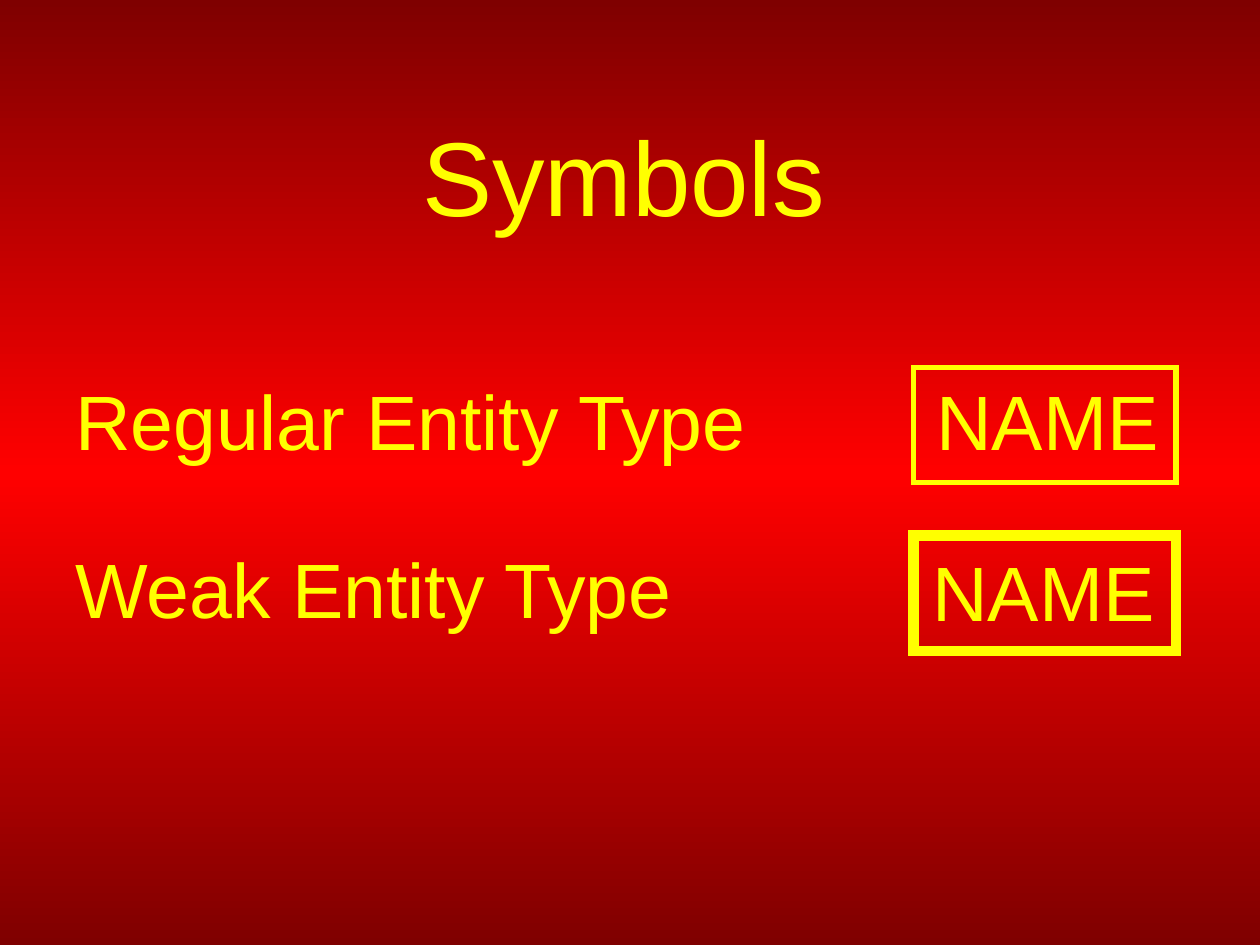
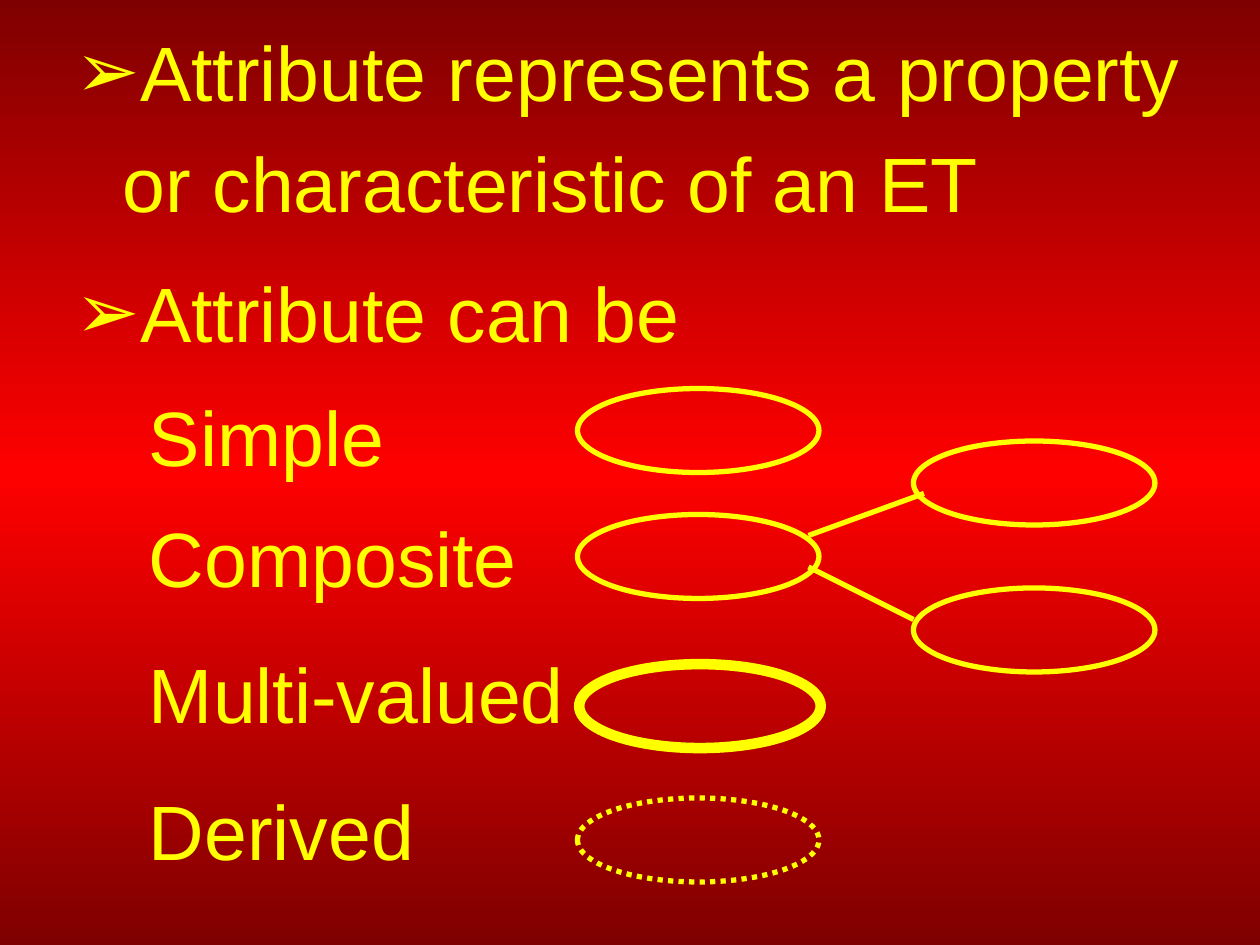
from copy import deepcopy

from lxml.etree import SubElement
from pptx import Presentation
from pptx.dml.color import RGBColor
from pptx.enum.dml import MSO_LINE
from pptx.enum.shapes import MSO_CONNECTOR, MSO_SHAPE
from pptx.enum.text import MSO_ANCHOR, MSO_AUTO_SIZE, PP_ALIGN
from pptx.oxml.ns import qn
from pptx.util import Pt

THEME = {
    "ink": RGBColor(0xFF, 0xFF, 0x00),
    "edge": RGBColor(0x7F, 0x00, 0x00),
    "middle": RGBColor(0xFF, 0x00, 0x00),
    "font": "Arial",
    "title_size": Pt(60),
    "text_size": Pt(44),
    "thin": Pt(3),
    "thick": Pt(6),
}
FRAME = {
    "auto_size": MSO_AUTO_SIZE.NONE,
    "vertical_anchor": MSO_ANCHOR.TOP,
    "margin_left": Pt(7.2),
    "margin_right": Pt(7.2),
    "margin_top": Pt(3.6),
    "margin_bottom": Pt(3.6),
}


def fill_text(box, area, lines, size=THEME["text_size"], wrap=False, spacing=1.0, bullet=None):
    """Place a text box or placeholder and write its formatted paragraphs."""
    box.left, box.top, box.width, box.height = map(Pt, area)
    frame = box.text_frame
    for name, value in {**FRAME, "word_wrap": wrap}.items():
        setattr(frame, name, value)
    for index, line in enumerate(lines):
        para = frame.add_paragraph() if index else frame.paragraphs[0]
        layout = {
            "alignment": PP_ALIGN.LEFT,
            "line_spacing": spacing,
            "space_before": Pt(11 if index else 0),
        }
        for name, value in layout.items():
            setattr(para, name, value)
        if bullet:
            properties = para._p.get_or_add_pPr()
            properties.set("marL", str(Pt(27)))
            properties.set("indent", str(-Pt(27)))
            colour = SubElement(properties, qn("a:buClr"))
            SubElement(colour, qn("a:srgbClr")).set("val", str(THEME["ink"]))
            SubElement(properties, qn("a:buChar")).set("char", bullet)
        span = para.add_run()
        span.text = line
        for name, value in {"name": THEME["font"], "size": size, "bold": False}.items():
            setattr(span.font, name, value)
        span.font.color.rgb = THEME["ink"]


def add_outline(page, kind, area, width=THEME["thin"], dash=None):
    """Draw an unfilled symbol with sharp corners."""
    symbol = page.shapes.add_shape(kind, *map(Pt, area))
    symbol.shadow.inherit = False
    symbol.fill.background()
    symbol.line.color.rgb = THEME["ink"]
    for name, value in {"width": width, "dash_style": dash}.items():
        setattr(symbol.line, name, value)
    SubElement(symbol.element.spPr.find(qn("a:ln")), qn("a:miter")).set("lim", "800000")


deck = Presentation()
deck.slide_width, deck.slide_height = Pt(720), Pt(540)

# Shared background: dark edges, bright middle
master = deck.slide_master
fill = master.background.fill
fill.gradient()
fill.gradient_angle = 270
stop_list = master.element.find(".//" + qn("a:gsLst"))
stop_list.insert(1, deepcopy(stop_list[0]))
colours = (THEME["edge"], THEME["middle"], THEME["edge"])
for stop, position, colour in zip(fill.gradient_stops, (0, 0.5, 1), colours):
    stop.position = position
    stop.color.rgb = colour

# Slide 1: entity type symbols
page = deck.slides.add_slide(deck.slide_layouts[5])
fill_text(page.shapes.title, (234, 60, 270, 79), ["Symbols"], THEME["title_size"])

entity_types = [
    # label, label width, row top, line width, name left, name top
    ("Regular Entity Type", 401, 210, THEME["thin"], 528, 210),
    ("Weak Entity Type", 359, 306, THEME["thick"], 525.6, 307.4),
]
for label, width, top, line_width, name_left, name_top in entity_types:
    add_outline(page, MSO_SHAPE.RECTANGLE, (522, top, 150, 66), line_width)
    for text, area in (
        (label, (36, top, width, 60.5)),
        ("NAME", (name_left, name_top, 141, 60.5)),
    ):
        fill_text(page.shapes.add_textbox(0, 0, 0, 0), area, [text])

# Slide 2: attribute definition
page = deck.slides.add_slide(deck.slide_layouts[1])
title = page.shapes.title.element
title.getparent().remove(title)
fill_text(
    page.placeholders[1],
    (36, 0, 648, 216),
    ["Attribute represents a property or characteristic of an ET", "Attribute can be"],
    wrap=True,
    spacing=1.2,
    bullet="➢",
)

# Attribute kinds with their ellipses
attribute_kinds = [
    # label, width, top, line spacing, ellipse left, ellipse top, line width, dash
    ("Simple", 204, 198, 1.4, 330, 222, THEME["thin"], None),
    ("Composite", 225, 288, 1.0, 330, 294, THEME["thin"], None),
    ("Multi-valued", 252, 366, 1.0, 331, 379.5, THEME["thick"], None),
    ("Derived", 166, 444, 1.0, 330, 456, THEME["thin"], MSO_LINE.ROUND_DOT),
]
for label, width, top, spacing, left, ellipse_top, line_width, dash in attribute_kinds:
    add_outline(page, MSO_SHAPE.OVAL, (left, ellipse_top, 138, 48), line_width, dash)
    box = page.shapes.add_textbox(0, 0, 0, 0)
    fill_text(box, (78, top, width, 60.5), [label], spacing=spacing)

# Parts of the composite attribute
composite_parts = [
    # ellipse top, link start, link end
    (252, (462, 306), (528, 282)),
    (336, (462, 324), (522, 354)),
]
for part_top, start, end in composite_parts:
    add_outline(page, MSO_SHAPE.OVAL, (522, part_top, 138, 48))
    link = page.shapes.add_connector(MSO_CONNECTOR.STRAIGHT, *map(Pt, start + end))
    link.line.color.rgb = THEME["ink"]
    link.line.width = THEME["thin"]
    SubElement(link.element.spPr, qn("a:effectLst"))

deck.save("out.pptx")
